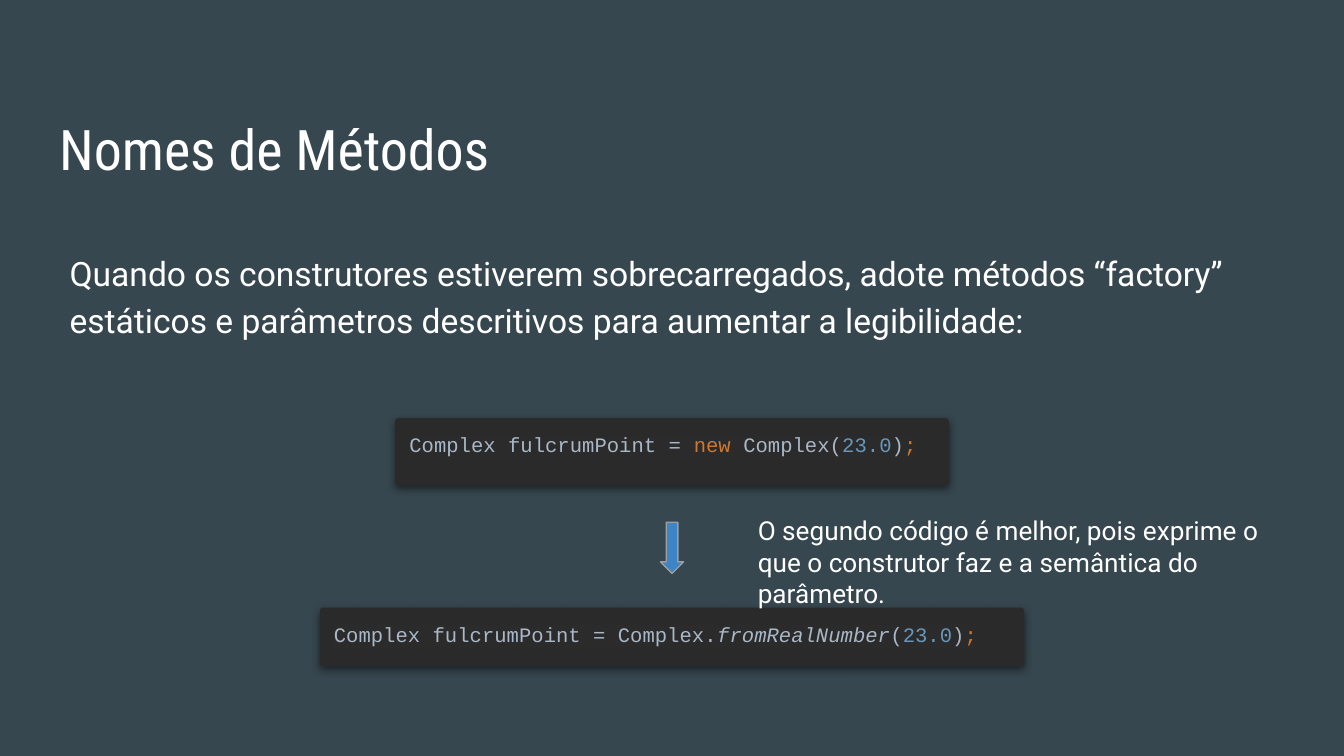
import lxml.etree
import pptx
import pptx.dml.color
import pptx.enum.shapes
import pptx.enum.text
import pptx.oxml
import pptx.oxml.ns
import pptx.util

Pt = pptx.util.Pt
RGBColor = pptx.dml.color.RGBColor
SHAPES = pptx.enum.shapes.MSO_SHAPE
TEXT = pptx.enum.text

SLATE = RGBColor(0x37, 0x47, 0x4F)
WHITE = RGBColor(0xFF, 0xFF, 0xFF)
PANEL = RGBColor(0x2A, 0x2A, 0x2A)
HIGHLIGHT = RGBColor(0x2B, 0x2B, 0x2B)
PLAIN = RGBColor(0xA9, 0xB7, 0xC6)
KEYWORD = RGBColor(0xCC, 0x78, 0x32)
NUMBER = RGBColor(0x68, 0x97, 0xBB)
BLUE = RGBColor(0x3D, 0x85, 0xC6)
GRAY = RGBColor(0x9E, 0x9E, 0x9E)

WIDTH, HEIGHT = 720, 405

CONSTRUCTOR_CODE = [
    ("Complex fulcrumPoint = ", PLAIN, False),
    ("new ", KEYWORD, False),
    ("Complex(", PLAIN, False),
    ("23.0", NUMBER, False),
    (")", PLAIN, False),
    (";", KEYWORD, False),
]
FACTORY_CODE = [
    ("Complex fulcrumPoint = Complex.", PLAIN, False),
    ("fromRealNumber", PLAIN, True),
    ("(", PLAIN, False),
    ("23.0", NUMBER, False),
    (")", PLAIN, False),
    (";", KEYWORD, False),
]


def points(box):
    return [Pt(length) for length in box]


def centred(top, width, height):
    return (WIDTH - width) / 2, top, width, height


def set_frame(frame):
    frame.word_wrap = True
    frame.auto_size = TEXT.MSO_AUTO_SIZE.NONE
    frame.vertical_anchor = TEXT.MSO_ANCHOR.TOP
    frame.margin_left = frame.margin_right = Pt(7.2)
    frame.margin_top = frame.margin_bottom = Pt(7.2)


def style_run(run, font, size, color, italic=False):
    run.font.name = font
    run.font.size = Pt(size)
    run.font.italic = italic
    run.font.color.rgb = color


def write(frame, text, font, size):
    set_frame(frame)
    frame.text = text
    paragraph = frame.paragraphs[0]
    paragraph.alignment = TEXT.PP_ALIGN.LEFT
    style_run(paragraph.runs[0], font, size, WHITE)
    return paragraph


def place_title(slide, box, text):
    title = slide.shapes.title
    title.left, title.top, title.width, title.height = points(box)
    write(title.text_frame, text, "Roboto Condensed", 30)


def add_text(slide, box, text, size):
    textbox = slide.shapes.add_textbox(*points(box))
    return write(textbox.text_frame, text, "Roboto", size)


def add_introduction(slide, box, text):
    paragraph = add_text(slide, box, text, 18)
    paragraph.line_spacing = 1.15
    paragraph.space_before = paragraph.space_after = Pt(16)


def add_shadow(panel):
    panel.shadow.inherit = False
    effects = panel._element.spPr.find(pptx.oxml.ns.qn("a:effectLst"))
    effects.append(pptx.oxml.parse_xml(
        f'<a:outerShdw {pptx.oxml.ns.nsdecls("a")} blurRad="{Pt(4.5)}" '
        f'dist="{Pt(1.5)}" dir="5400000" algn="bl" rotWithShape="0">'
        '<a:srgbClr val="000000"><a:alpha val="50000"/></a:srgbClr>'
        '</a:outerShdw>'))


def highlight(run):
    fill = run.font._element.find(pptx.oxml.ns.qn("a:solidFill"))
    marker = lxml.etree.Element(pptx.oxml.ns.qn("a:highlight"))
    lxml.etree.SubElement(
        marker, pptx.oxml.ns.qn("a:srgbClr"), val=str(HIGHLIGHT))
    fill.addnext(marker)


def add_code(slide, box, tokens):
    panel = slide.shapes.add_shape(SHAPES.ROUNDED_RECTANGLE, *points(box))
    panel.adjustments[0] = 0.05
    panel.fill.solid()
    panel.fill.fore_color.rgb = PANEL
    panel.line.fill.background()
    add_shadow(panel)
    set_frame(panel.text_frame)
    paragraph = panel.text_frame.paragraphs[0]
    paragraph.alignment = TEXT.PP_ALIGN.LEFT
    for text, color, italic in tokens:
        run = paragraph.add_run()
        run.text = text
        style_run(run, "Courier New", 11, color, italic)
        highlight(run)


def add_arrow(slide, box):
    arrow = slide.shapes.add_shape(SHAPES.RIGHT_ARROW, *points(box))
    arrow.rotation = 90
    arrow.shadow.inherit = False
    arrow.fill.solid()
    arrow.fill.fore_color.rgb = BLUE
    arrow.line.color.rgb = GRAY
    arrow.line.width = Pt(0.75)


def build_slide(deck):
    slide = deck.slides.add_slide(deck.slide_layouts[5])
    slide.background.fill.solid()
    slide.background.fill.fore_color.rgb = SLATE
    place_title(slide, (24.5, 54, 671, 45.4), "Nomes de Métodos")
    add_introduction(
        slide, (30.2, 125.3, 671, 60.5),
        "Quando os construtores estiverem sobrecarregados, adote métodos "
        "“factory” estáticos e parâmetros descritivos para aumentar a "
        "legibilidade:")
    add_code(slide, centred(325.6, 377.3, 31.2), FACTORY_CODE)
    add_code(slide, centred(224, 296.6, 36), CONSTRUCTOR_CODE)
    add_arrow(slide, centred(287.3, 27.4, 12.4))
    add_text(
        slide, (398.9, 268.6, 302.4, 48.2),
        "O segundo código é melhor, pois exprime o que o construtor faz "
        "e a semântica do parâmetro.", 14)


def main():
    deck = pptx.Presentation()
    deck.slide_width, deck.slide_height = Pt(WIDTH), Pt(HEIGHT)
    build_slide(deck)
    deck.save("out.pptx")


if __name__ == "__main__":
    main()
